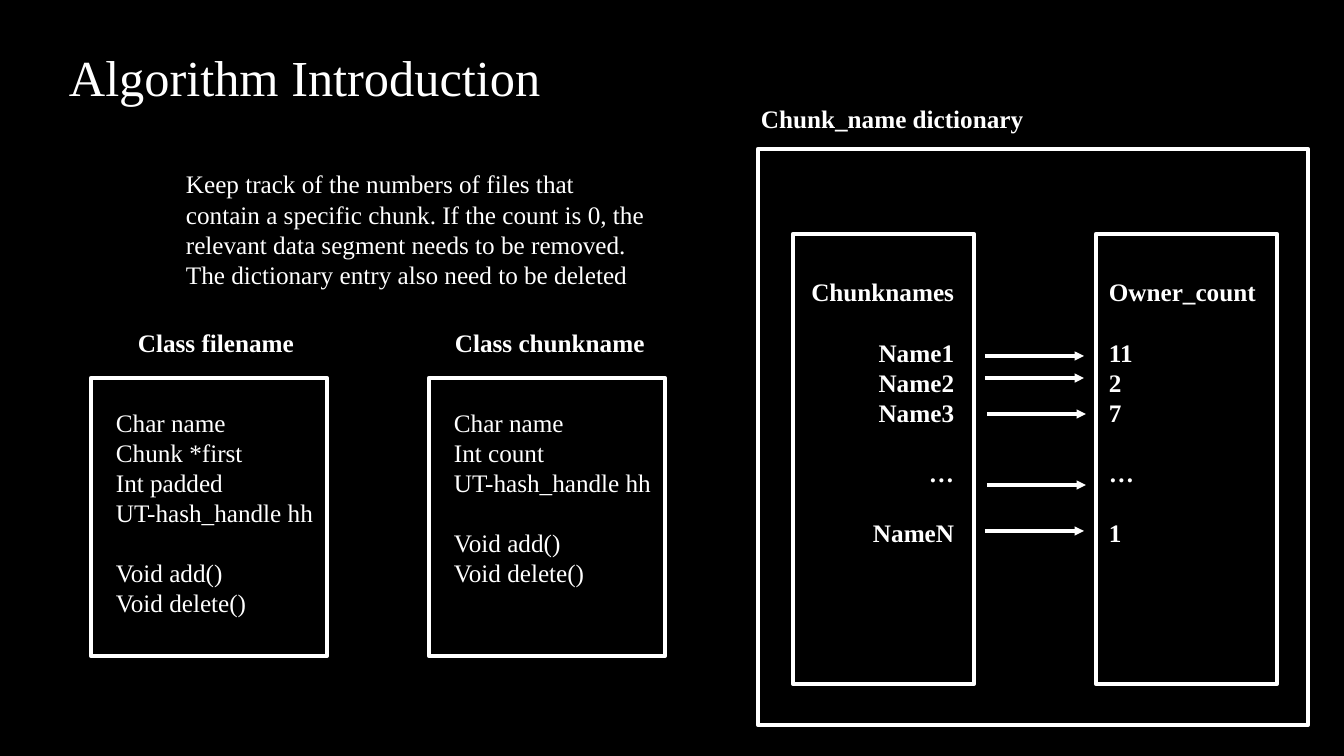
from dataclasses import dataclass

from lxml.etree import SubElement
from pptx import Presentation
from pptx.dml.color import RGBColor
from pptx.enum.shapes import MSO_CONNECTOR, MSO_SHAPE
from pptx.enum.text import PP_ALIGN
from pptx.oxml.ns import qn
from pptx.util import Pt


@dataclass(frozen=True)
class Theme:
    background: RGBColor = RGBColor(0x00, 0x00, 0x00)
    ink: RGBColor = RGBColor(0xFF, 0xFF, 0xFF)
    font: str = "Times New Roman"
    title_size: int = 36
    body_size: int = 18
    leading: float = 43 / 36
    frame_width: float = 3
    arrow_width: float = 2.25


def px(length):
    """Turn px, at 100.8 to the inch, into EMU."""
    return length * 9144000 // 1008


class SlideBuilder:
    def __init__(self, deck, theme):
        self.theme = theme
        self.slide = deck.slides.add_slide(deck.slide_layouts[6])
        fill = self.slide.background.fill
        fill.solid()
        fill.fore_color.rgb = theme.background

    def frame(self, left, top, width, height):
        shape = self.slide.shapes.add_shape(
            MSO_SHAPE.RECTANGLE, px(left), px(top), px(width), px(height))
        shape.shadow.inherit = False
        shape.fill.background()
        shape.line.color.rgb = self.theme.ink
        shape.line.width = Pt(self.theme.frame_width)

    def text(self, left, top, width, height, groups, size=None, bold=False,
             align=PP_ALIGN.LEFT):
        """Write groups of lines, with one line of space between groups."""
        size = size or self.theme.body_size
        line_height = Pt(size * self.theme.leading)
        box = self.slide.shapes.add_textbox(px(left), px(top), px(width), px(height))
        box.text_frame.word_wrap = True
        box.text_frame.text = "\n".join("\n".join(group) for group in groups)
        positions = [(number, row) for number, group in enumerate(groups)
                     for row in range(len(group))]
        for para, (number, row) in zip(box.text_frame.paragraphs, positions):
            para.alignment = align
            para.line_spacing = line_height
            if number and row == 0:
                para.space_before = line_height
            for span in para.runs:
                span.font.name = self.theme.font
                span.font.size = Pt(size)
                span.font.bold = bold
                span.font.color.rgb = self.theme.ink

    def arrow(self, left, top, length):
        connector = self.slide.shapes.add_connector(
            MSO_CONNECTOR.STRAIGHT, px(left), px(top), px(left + length), px(top))
        connector.line.color.rgb = self.theme.ink
        connector.line.width = Pt(self.theme.arrow_width)
        SubElement(connector.line._get_or_add_ln(), qn("a:tailEnd"), type="triangle")
        SubElement(connector._element.spPr, qn("a:effectLst"))


def main():
    deck = Presentation()
    deck.slide_width, deck.slide_height = px(1344), px(756)
    theme = Theme()
    page = SlideBuilder(deck, theme)

    # Title and explanation
    page.text(59, 41, 519, 72, [["Algorithm Introduction"]], size=theme.title_size)
    page.text(176, 164, 488, 132, [[
        "Keep track of the numbers of files that contain a specific chunk. "
        "If the count is 0, the relevant data segment needs to be removed. "
        "The dictionary entry also need to be deleted"]])

    # Class boxes: left edge, heading left edge, heading, fields
    classes = [
        (91, 128, "Class filename",
         ["Char name", "Chunk *first", "Int padded", "UT-hash_handle hh"]),
        (429, 445, "Class chunkname",
         ["Char name", "Int count", "UT-hash_handle hh"]),
    ]
    methods = ["Void add()", "Void delete()"]
    for left, heading_left, heading, fields in classes:
        page.text(heading_left, 323, 212, 40, [[heading]], bold=True)
        page.frame(left, 378, 236, 278)
        page.text(left + 15, 402, 221, 179, [fields, methods])

    # Dictionary with its two columns
    page.text(751, 99, 285, 40, [["Chunk_name dictionary"]], bold=True)
    page.frame(758, 149, 550, 576)
    columns = [
        (793, 795, PP_ALIGN.RIGHT,
         [["Chunknames"], ["Name1", "Name2", "Name3"], ["…"], ["NameN"]]),
        (1096, 1099, PP_ALIGN.LEFT,
         [["Owner_count"], ["11", "2", "7"], ["…"], ["1"]]),
    ]
    for left, text_left, align, entries in columns:
        page.frame(left, 234, 181, 450)
        page.text(text_left, 272, 169, 285, entries, bold=True, align=align)

    # Arrows from names to counts
    for left, top in [(985, 356), (985, 378), (987, 414), (987, 485), (985, 531)]:
        page.arrow(left, top, 99)

    deck.save("out.pptx")


if __name__ == "__main__":
    main()
